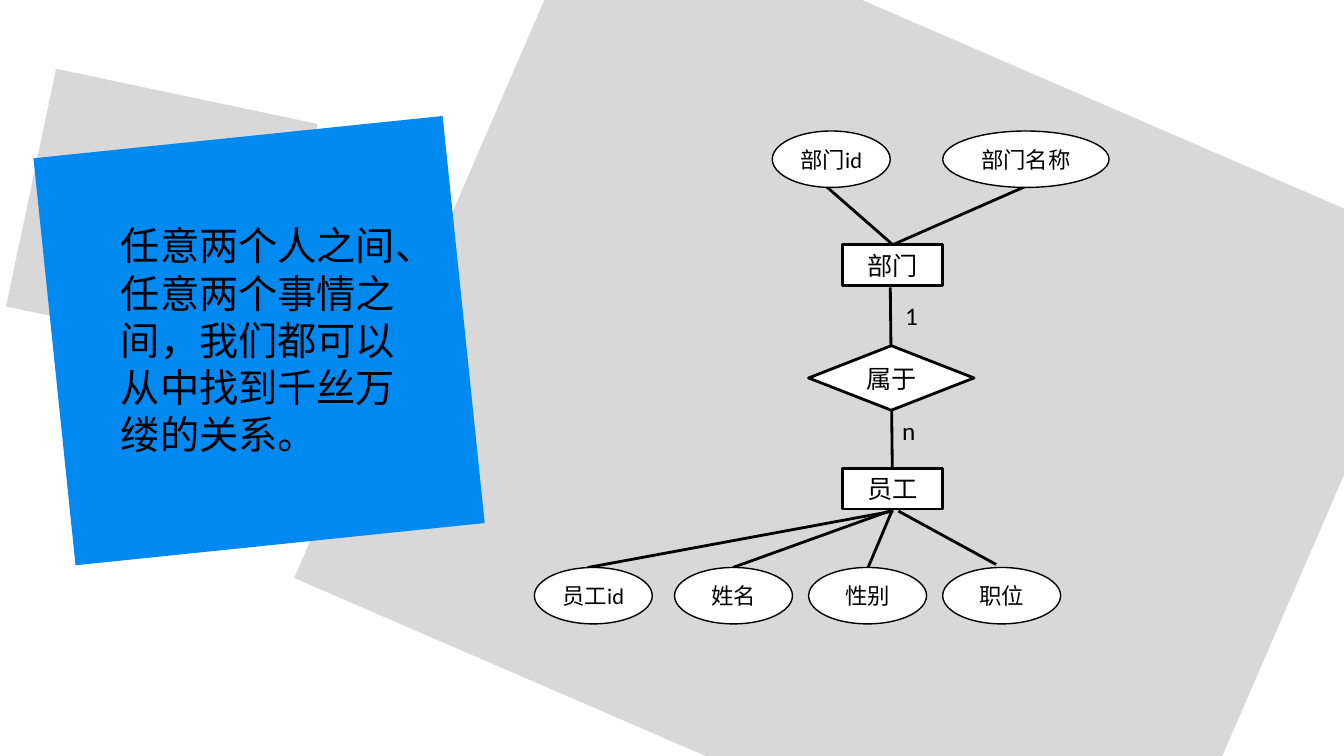
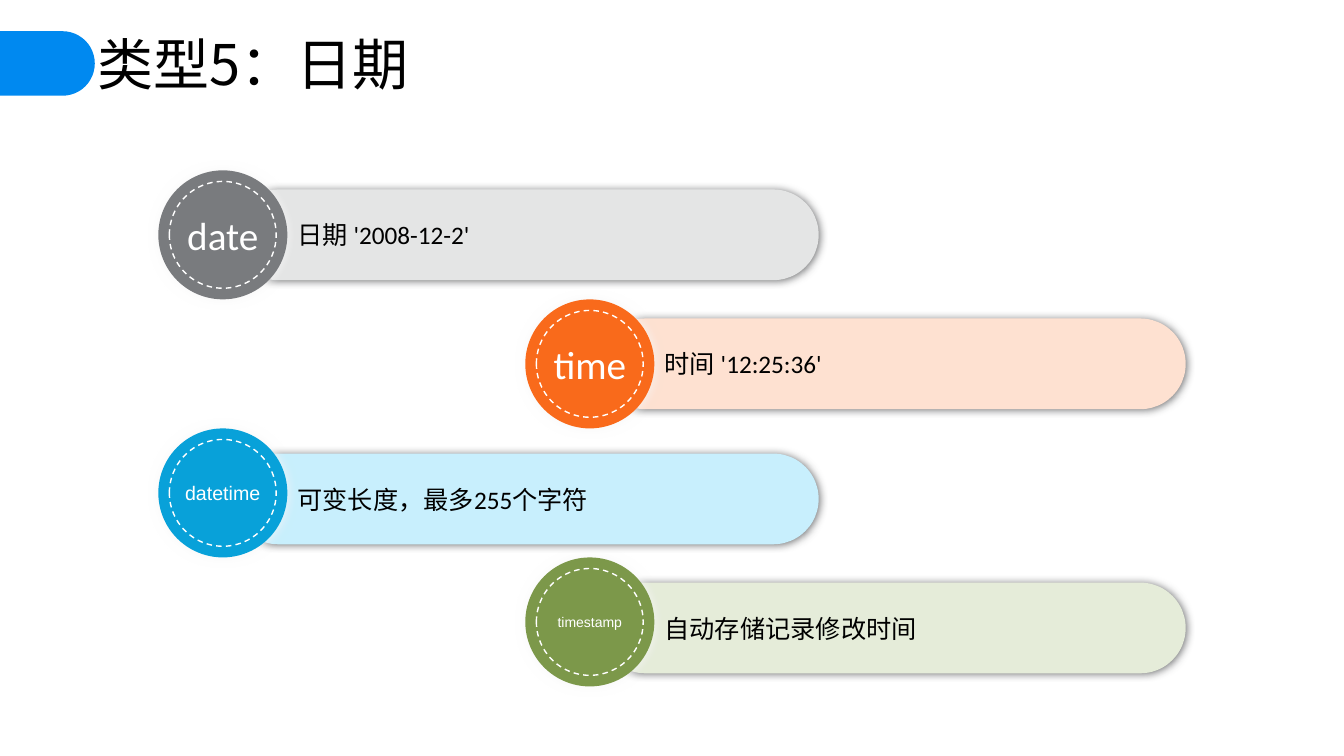
"""Build two slides: an entity-relationship diagram and the date column types."""
from dataclasses import dataclass

from lxml.etree import SubElement
from pptx import Presentation
from pptx.dml.color import RGBColor
from pptx.enum.dml import MSO_LINE
from pptx.enum.shapes import MSO_CONNECTOR as Connector, MSO_SHAPE as Shape
from pptx.enum.text import MSO_ANCHOR as Anchor, MSO_AUTO_SIZE as AutoSize, PP_ALIGN as Align
from pptx.oxml.ns import qn
from pptx.util import Inches, Pt


@dataclass(frozen=True)
class Theme:
    black: str = "000000"
    white: str = "FFFFFF"
    blue: str = "0089F0"
    pale_gray: str = "D8D8D8"
    bar_shadow: str = "5B5C5E"
    disc_shadow: str = "F8F8F8"
    body_font: str = "Calibri"
    small_font: str = "Arial"
    title_font: str = "Noto Sans CJK SC"
    title_size: int = 40
    quote_size: int = 28
    body_size: int = 18
    node_size: int = 16


theme = Theme()


def write_text(box, text, size, font=theme.body_font, color=theme.black,
               align=Align.LEFT, anchor=Anchor.MIDDLE):
    frame = box.text_frame
    frame.text = text
    frame.word_wrap = True
    frame.auto_size = AutoSize.NONE
    frame.vertical_anchor = anchor
    para = frame.paragraphs[0]
    para.alignment = align
    for span in para.runs:
        span.font.name = font
        span.font.size = Pt(size)
        span.font.color.rgb = RGBColor.from_string(color)
        SubElement(span.font._element, qn("a:ea"), typeface=font)


def draw_shape(page, kind, bounds, fill=None, line=None, width=1, turn=0, shadow=None):
    shape = page.shapes.add_shape(kind, *map(Inches, bounds))
    shape.rotation = turn
    shape.shadow.inherit = False
    if fill:
        shape.fill.solid()
        shape.fill.fore_color.rgb = RGBColor.from_string(fill)
    else:
        shape.fill.background()
    if line:
        shape.line.color.rgb = RGBColor.from_string(line)
        shape.line.width = Pt(width)
    else:
        shape.line.fill.background()
    if shadow:
        color, blur = shadow
        effects = shape._element.spPr.find(qn("a:effectLst"))
        outer = SubElement(effects, qn("a:outerShdw"), blurRad=str(Pt(blur)), dist="0",
                           algn="ctr", rotWithShape="0")
        tint = SubElement(outer, qn("a:srgbClr"), val=color)
        SubElement(tint, qn("a:alpha"), val="85000")
    return shape


deck = Presentation()
deck.slide_width, deck.slide_height = Inches(13.33), Inches(7.5)
title_only = deck.slide_layouts[5]

page = deck.slides.add_slide(title_only)
panels = [
    ((4.03, 0.36, 9.15, 7.5), 23.4, theme.pale_gray),
    ((0.28, 0.93, 2.65, 2.41), 11.9, theme.pale_gray),
    ((0.53, 1.35, 4.08, 4.06), 354.1, theme.blue),
]
for bounds, turn, fill in panels:
    draw_shape(page, Shape.RECTANGLE, bounds, fill, turn=turn)

quote = page.shapes.title
quote.left, quote.top, quote.width, quote.height = map(Inches, (1.1, 2.15, 2.93, 2.46))
write_text(quote, "任意两个人之间、任意两个事情之间，我们都可以从中找到千丝万缕的关系。",
           theme.quote_size, anchor=Anchor.TOP)
page.shapes._spTree.append(quote._element)

links = [
    (8.83, 2.85, 8.85, 4.65),
    (8.07, 1.74, 8.88, 2.45),
    (10.17, 1.85, 8.85, 2.43),
    (8.86, 5.07, 5.83, 5.63),
    (8.85, 5.06, 7.27, 5.63),
    (8.85, 5.06, 8.61, 5.63),
    (8.91, 5.07, 9.88, 5.6),
]
for ends in links:
    link = page.shapes.add_connector(Connector.STRAIGHT, *map(Inches, ends))
    link.line.color.rgb = RGBColor.from_string(theme.black)
    link.line.width = Pt(2)
    SubElement(link._element.spPr, qn("a:effectLst"))

entities = [
    (Shape.RECTANGLE, "部门", (8.36, 2.43, 0.99, 0.4)),
    (Shape.RECTANGLE, "员工", (8.36, 4.65, 0.99, 0.4)),
    (Shape.FLOWCHART_DECISION, "属于", (8.02, 3.43, 1.64, 0.64)),
]
for kind, name, bounds in entities:
    entity = draw_shape(page, kind, bounds, theme.white, theme.black, 2)
    write_text(entity, name, theme.body_size, align=Align.CENTER)

attributes = [
    ("部门id", 7.66, 1.3, 1.17),
    ("部门名称", 9.35, 1.3, 1.65),
    ("员工id", 5.3, 5.63, 1.17),
    ("姓名", 6.69, 5.63, 1.17),
    ("性别", 8.02, 5.63, 1.17),
    ("职位", 9.35, 5.63, 1.17),
]
for name, left, top, width in attributes:
    attribute = draw_shape(page, Shape.FLOWCHART_CONNECTOR, (left, top, width, 0.56),
                           theme.white, theme.black)
    write_text(attribute, name, theme.node_size, align=Align.CENTER)

for count, left, top in [("1", 8.88, 2.93), ("n", 8.85, 4.07)]:
    label = page.shapes.add_textbox(*map(Inches, (left, top, 1.33, 0.4)))
    write_text(label, count, theme.body_size, anchor=Anchor.TOP)

page = deck.slides.add_slide(title_only)
title = page.shapes.title
title.left, title.top, title.width, title.height = map(Inches, (0.87, 0.24, 8.47, 0.77))
write_text(title, "类型5：日期", theme.title_size, theme.title_font)

tab = draw_shape(page, Shape.ROUND_2_SAME_RECTANGLE, (0.15, 0.16, 0.64, 0.94),
                 theme.blue, turn=90)
tab.adjustments[0] = 0.5

date_types = [
    ("date", 28, theme.body_font, "日期 '2008-12-2'", "797B7E", "E4E5E5", 0.19),
    ("time", 28, theme.body_font, "时间 '12:25:36'", "F96A1B", "FEE1D1", 0.19),
    ("datetime", 14, theme.small_font, "可变长度，最多255个字符", "08A1D9", "C8EFFD", 0.25),
    ("timestamp", 10, theme.small_font, "自动存储记录修改时间", "7C984A", "E5ECD9", 0.25),
]
disc_size, ring_gap = 1.28, 0.11
ring_size = disc_size - 2 * ring_gap
for row, (name, size, font, meaning, strong, pale, drop) in enumerate(date_types):
    left = 1.57 + 3.64 * (row % 2)
    top = 1.69 + disc_size * row

    bar = draw_shape(page, Shape.ROUNDED_RECTANGLE, (left + 0.74, top + drop, 5.81, 0.9),
                     pale, shadow=(theme.bar_shadow, 6))
    bar.adjustments[0] = 0.5
    bar.text_frame.margin_left = Inches(0.51)
    write_text(bar, meaning, theme.body_size)

    draw_shape(page, Shape.OVAL, (left, top, disc_size, disc_size), strong,
               shadow=(theme.disc_shadow, 8))

    ring = draw_shape(page, Shape.OVAL,
                      (left + ring_gap, top + ring_gap, ring_size, ring_size),
                      line=theme.white)
    ring.line.dash_style = MSO_LINE.DASH
    frame = ring.text_frame
    frame.margin_left = frame.margin_right = frame.margin_top = frame.margin_bottom = 0
    write_text(ring, name, size, font, theme.white, Align.CENTER)

deck.save("out.pptx")
